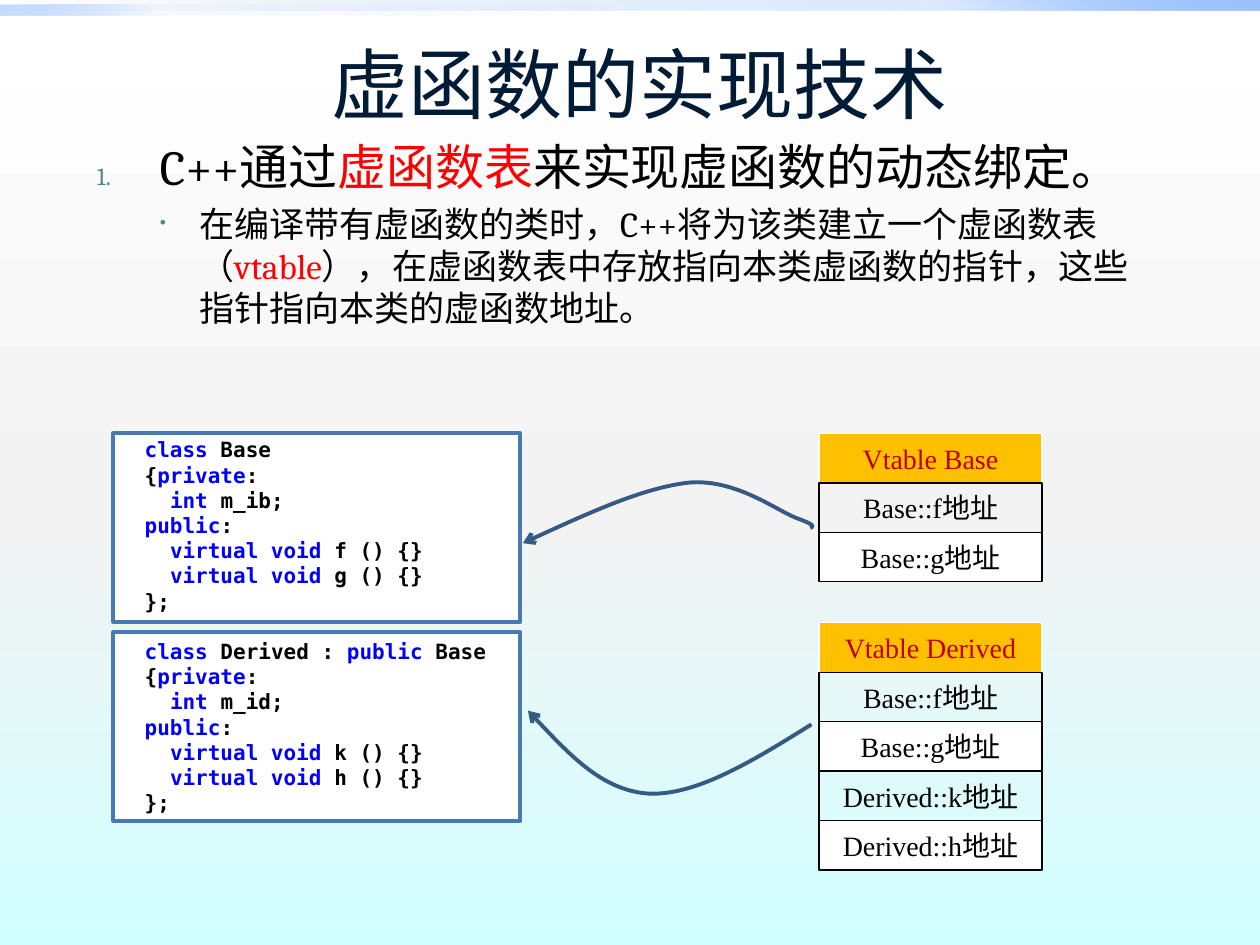
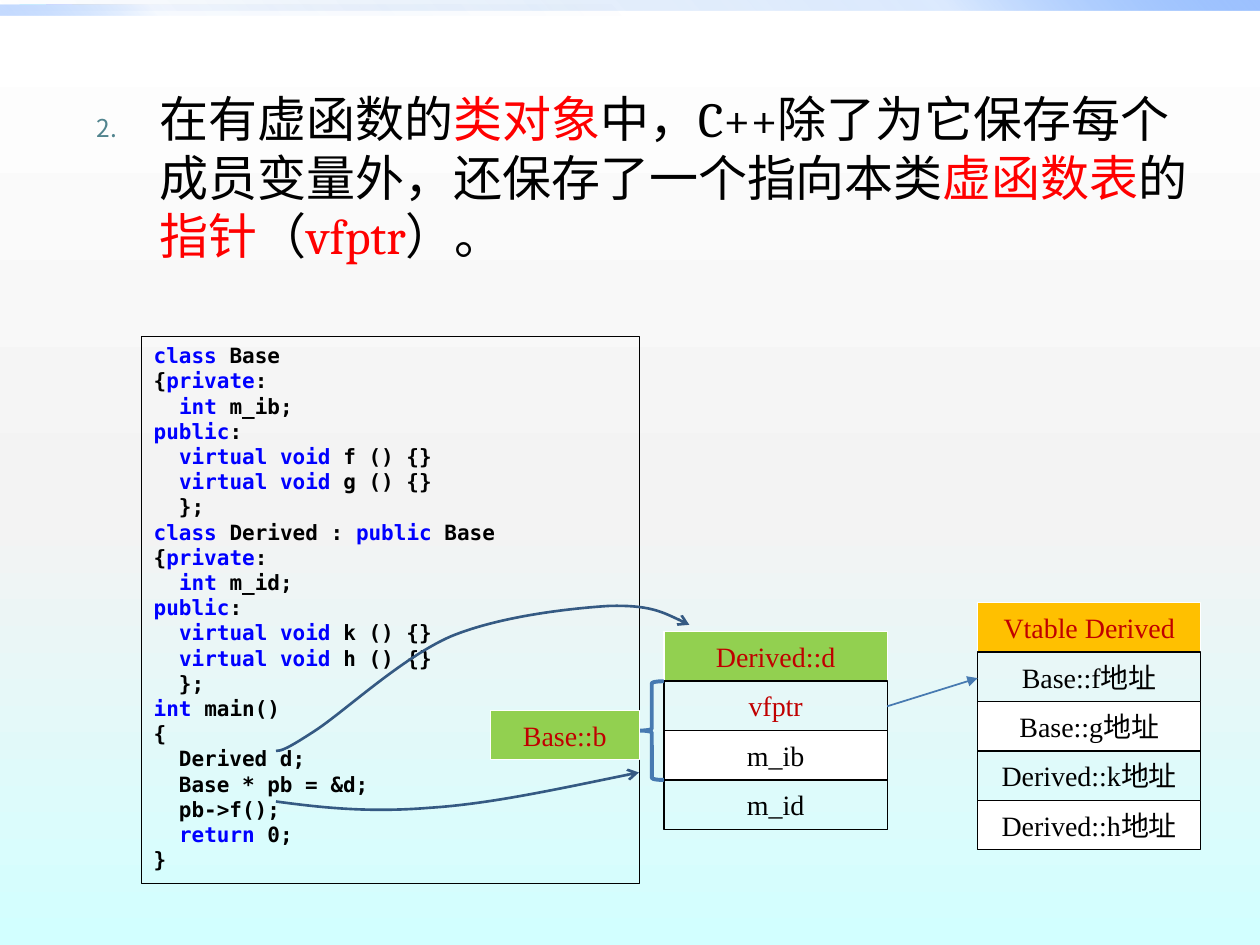
import lxml.etree
import pptx
import pptx.dml.color
import pptx.enum.shapes
import pptx.enum.text
import pptx.oxml.ns
import pptx.util

RGB = pptx.dml.color.RGBColor
Pt = pptx.util.Pt
SHAPE = pptx.enum.shapes.MSO_SHAPE
ALIGN = pptx.enum.text.PP_ALIGN
ANCHOR = pptx.enum.text.MSO_ANCHOR

BLACK = RGB(0x00, 0x00, 0x00)
WHITE = RGB(0xFF, 0xFF, 0xFF)
RED = RGB(0xFF, 0x00, 0x00)
DARK_RED = RGB(0xC0, 0x00, 0x00)
KEYWORD_BLUE = RGB(0x00, 0x00, 0xFF)
NAVY = RGB(0x00, 0x1B, 0x36)
TEAL = RGB(0x51, 0x84, 0x8E)
STEEL = RGB(0x47, 0x7A, 0xB1)
CURVE_BLUE = RGB(0x35, 0x5A, 0x83)
AMBER = RGB(0xFF, 0xC0, 0x00)
GREEN = RGB(0x92, 0xD0, 0x50)
SKY = RGB(0xD2, 0xFF, 0xFF)
PALE_GREY = RGB(0xF3, 0xF3, 0xF3)
BAND_DEEP = RGB(0x00, 0x58, 0xB7)
BAND_MID = RGB(0x4F, 0x95, 0xFF)
BAND_LIGHT = RGB(0x9E, 0xC2, 0xFF)

TITLE_FONT = {"name": "Arial", "size": Pt(44)}
POINT_FONT = {"name": "Cambria", "size": Pt(28)}
DETAIL_FONT = {"name": "Cambria", "size": Pt(20)}
CODE_FONT = {"name": "DejaVu Sans Mono", "size": Pt(12), "bold": True}
CELL_FONT = {"name": "Times New Roman", "size": Pt(16)}
CODE_PITCH = 14.4
CELL_WIDTH, CELL_HEIGHT = 127.5, 28.25

BASE_CLASS = [
    "|class| Base",
    "{|private|:",
    "  |int| m_ib;",
    "|public|:",
    "  |virtual void| f () {}",
    "  |virtual void| g () {}",
]
DERIVED_CLASS = [
    "|class| Derived : |public| Base",
    "{|private|:",
    "  |int| m_id;",
    "|public|:",
    "  |virtual void| k () {}",
    "  |virtual void| h () {}",
]
MAIN_FUNCTION = [
    "|int| main()",
    "{",
    "  Derived d;",
    "  Base * pb = &d;",
    "  pb->f();",
    "  |return| 0;",
    "}",
]
BASE_ROWS = ["Base::f地址", "Base::g地址"]
DERIVED_ROWS = BASE_ROWS + ["Derived::k地址", "Derived::h地址"]


def points(values):
    return [Pt(value) for value in values]


def apply(target, values):
    for name, value in values.items():
        setattr(target, name, value)


def add_xml(parent, tag, **attributes):
    child = lxml.etree.SubElement(parent, pptx.oxml.ns.qn(tag))
    for name, value in attributes.items():
        child.set(name, str(value))
    return child


def set_gradient(fill, stops, angle):
    """Fill with (position %, colour, opacity %) stops at a clockwise angle."""
    fill.gradient()
    fill.gradient_angle = (360 - angle) % 360
    stop_list = fill.gradient_stops[0]._gs.getparent()
    for old_stop in list(stop_list):
        stop_list.remove(old_stop)
    for position, color, opacity in stops:
        stop = add_xml(stop_list, "a:gs", pos=position * 1000)
        tint = add_xml(stop, "a:srgbClr", val=color)
        if opacity < 100:
            add_xml(tint, "a:alpha", val=opacity * 1000)


def paint(shape, fill=None, line=None, width=0.75):
    shape.shadow.inherit = False
    if fill is None:
        shape.fill.background()
    else:
        shape.fill.solid()
        shape.fill.fore_color.rgb = fill
    if line is None:
        shape.line.fill.background()
    else:
        shape.line.color.rgb = line
        shape.line.width = Pt(width)


def write_spans(para, marked, font, color, accent):
    """Write text whose parts between | signs take the accent colour."""
    for index, text in enumerate(marked.split("|")):
        if text:
            span = para.add_run()
            span.text = text
            apply(span.font, font)
            span.font.color.rgb = accent if index % 2 else color


def paragraphs(frame, lines):
    """Yield a paragraph of the frame for each line."""
    for index, line in enumerate(lines):
        yield (frame.add_paragraph() if index else frame.paragraphs[0]), line


def add_bullet(para, indent, hanging, number=None):
    properties = para._p.get_or_add_pPr()
    properties.set("marL", str(Pt(indent)))
    properties.set("indent", str(-Pt(hanging)))
    add_xml(add_xml(properties, "a:buClr"), "a:srgbClr", val=TEAL)
    add_xml(properties, "a:buSzPct", val=50000)
    if number:
        add_xml(properties, "a:buFont", typeface="+mj-lt")
        add_xml(properties, "a:buAutoNum", type="arabicPeriod", startAt=number)
    else:
        add_xml(properties, "a:buFont", typeface="Arial")
        add_xml(properties, "a:buChar", char="•")


def add_page(deck):
    page = deck.slides.add_slide(deck.slide_layouts[1])
    bands = [
        ((0, 0, 720, 5.76), 315, (0, 20, 100)),
        ((0, 2.88, 360, 5.76), 135, (0, 5, 60)),
    ]
    for box, angle, opacities in bands:
        band = page.shapes.add_shape(SHAPE.RECTANGLE, *points(box))
        paint(band)
        stops = zip((0, 75, 100), (BAND_DEEP, BAND_MID, BAND_LIGHT), opacities)
        set_gradient(band.fill, stops, angle)
    return page


def place(shape, box):
    apply(shape, dict(zip(("left", "top", "width", "height"), points(box))))


def write_title(page, box, text):
    title = page.shapes.title
    place(title, box)
    title.text_frame.vertical_anchor = ANCHOR.MIDDLE
    para = title.text_frame.paragraphs[0]
    para.alignment = ALIGN.CENTER
    write_spans(para, text, TITLE_FONT, NAVY, RED)


def write_body(page, box, number, lines):
    """Write a numbered point followed by its bulleted details."""
    body = page.placeholders[1]
    place(body, box)
    frame = body.text_frame
    frame.auto_size = pptx.enum.text.MSO_AUTO_SIZE.NONE
    for para, line in paragraphs(frame, lines):
        is_point = line is lines[0]
        if is_point:
            add_bullet(para, 36, 36, number)
        else:
            add_bullet(para, 58.5, 22.5)
        para.space_before = Pt(0 if is_point else 4)
        write_spans(para, line, POINT_FONT if is_point else DETAIL_FONT, BLACK, RED)


def write_code(shape, blocks):
    """Write code blocks, leaving one line of space between them."""
    frame = shape.text_frame
    apply(frame, {"word_wrap": True, "vertical_anchor": ANCHOR.TOP})
    lines = [(line, index > 0 and line is block[0])
             for index, block in enumerate(blocks) for line in block]
    for para, (line, starts_block) in paragraphs(frame, lines):
        apply(para, {
            "alignment": ALIGN.LEFT,
            "line_spacing": Pt(CODE_PITCH),
            "space_before": Pt(CODE_PITCH if starts_block else 0),
        })
        write_spans(para, line, CODE_FONT, BLACK, KEYWORD_BLUE)


def add_cell(shapes, box, text, color, fill, line):
    cell = shapes.add_shape(SHAPE.RECTANGLE, *points(box))
    paint(cell, fill, line)
    cell.text_frame.vertical_anchor = ANCHOR.MIDDLE
    para = cell.text_frame.paragraphs[0]
    para.alignment = ALIGN.CENTER
    write_spans(para, text, CELL_FONT, color, DARK_RED)


def add_memory_layout(page, left, top, header, rows, header_fill):
    """Stack a coloured header over rows that alternate clear and white."""
    shapes = page.shapes.add_group_shape().shapes
    add_cell(shapes, (left, top, CELL_WIDTH, CELL_HEIGHT),
             header, DARK_RED, header_fill, WHITE)
    for index, row in enumerate(rows):
        box = (left, top + (index + 1) * CELL_HEIGHT, CELL_WIDTH, CELL_HEIGHT)
        add_cell(shapes, box, row, BLACK, WHITE if index % 2 else None, BLACK)


def add_arrowhead(shape, kind):
    add_xml(shape.line._get_or_add_ln(), "a:tailEnd", type=kind)


def add_curved_arrow(page, left, top, knots, width):
    """Draw a Bézier arrow: a start, then two controls and an end per piece."""
    places = [points((left + x, top + y)) for x, y in knots]
    builder = page.shapes.build_freeform(*places[0])
    builder.add_line_segments(places[1:], close=False)
    curve = builder.convert_to_shape()
    segments = list(curve._element.iter(pptx.oxml.ns.qn("a:lnTo")))
    outline = segments[0].getparent()
    for start in range(0, len(segments), 3):
        piece = add_xml(outline, "a:cubicBezTo")
        for segment in segments[start:start + 3]:
            piece.append(segment[0])
            outline.remove(segment)
    paint(curve, line=CURVE_BLUE, width=width)
    add_arrowhead(curve, "arrow")


def add_straight_arrow(page, start, end):
    arrow = page.shapes.add_connector(
        pptx.enum.shapes.MSO_CONNECTOR.STRAIGHT, *points(start + end))
    arrow.line.color.rgb = STEEL
    arrow.line.width = Pt(1)
    add_xml(arrow._element.spPr, "a:effectLst")
    add_arrowhead(arrow, "triangle")


def build_vtable_page(deck):
    page = add_page(deck)
    write_title(page, (59.8, 2.2, 612, 90), "虚函数的实现技术")
    write_body(page, (48.2, 74.2, 612, 130.3), 1, [
        "C++通过|虚函数表|来实现虚函数的动态绑定。",
        "在编译带有虚函数的类时，C++将为该类建立一个虚函数表（|vtable|），"
        "在虚函数表中存放指向本类虚函数的指针，这些指针指向本类的虚函数地址。",
    ])
    for top in (247.7, 361.4):
        panel = page.shapes.add_shape(SHAPE.RECTANGLE, *points((64.8, top, 232.6, 107.6)))
        paint(panel, WHITE, STEEL, 2.25)
    code = page.shapes.add_textbox(*points((75.6, 246.2, 284.4, 239.8)))
    write_code(code, [BASE_CLASS + ["};"], DERIVED_CLASS + ["};"]])
    add_memory_layout(page, 468, 247.7, "Vtable Base", BASE_ROWS, AMBER)
    add_memory_layout(page, 468, 355.9, "Vtable Derived", DERIVED_ROWS, AMBER)
    add_curved_arrow(page, 298.8, 275.8, [
        (164.2, 25.9), (166.3, 25.2), (167.8, 24.5), (156.2, 20.2),
        (144.7, 15.8), (121.7, -2.2), (95, 0),
        (69.1, 2.9), (34.6, 18.7), (0, 34.6)], 2.25)
    add_curved_arrow(page, 301.7, 406.1, [
        (162, 7.9), (129.6, 28.1), (97.2, 48.2), (69.8, 47.5),
        (43.2, 46.1), (21.6, 23), (0, 0)], 2.25)


def build_vfptr_page(deck):
    page = add_page(deck)
    title = page.shapes.title._element
    title.getparent().remove(title)
    write_body(page, (48.2, 46.8, 648, 90.7), 2, [
        "在有虚函数的|类对象|中，C++除了为它保存每个成员变量外，"
        "还保存了一个指向本类|虚函数表|的|指针|（|vfptr|）。",
    ])
    code = page.shapes.add_shape(SHAPE.RECTANGLE, *points((80.8, 192.3, 284.6, 312.5)))
    paint(code, line=BLACK)
    write_code(code, [BASE_CLASS + ["  };"] + DERIVED_CLASS + ["  };"] + MAIN_FUNCTION])
    add_memory_layout(page, 379.5, 360.9, "Derived::d", ["|vfptr|", "m_ib", "m_id"], GREEN)
    add_memory_layout(page, 558.7, 344.4, "Vtable Derived", DERIVED_ROWS, AMBER)
    add_straight_arrow(page, (507, 403.6), (558.7, 387.5))
    brace = page.shapes.add_shape(SHAPE.LEFT_BRACE, *points((365.6, 389.3, 13.7, 56.4)))
    paint(brace, line=STEEL, width=2.25)
    add_curved_arrow(page, 157.7, 441.4, [
        (0, 16.6), (26.6, 20.2), (53.3, 23), (87.8, 20.2),
        (122.4, 18), (164.9, 8.6), (207.4, 0)], 1.5)
    add_cell(page.shapes, (280.3, 405.9, 85, CELL_HEIGHT),
             "Base::b", DARK_RED, GREEN, WHITE)
    add_curved_arrow(page, 157.7, 346.3, [
        (0, 82.8), (2.9, 82.8), (5.8, 82.1), (22.3, 71.3),
        (38.9, 60.5), (72, 29.5), (100.1, 17.3),
        (128.2, 5.8), (167.8, 1.4), (190.1, 0),
        (213.1, -0.7), (224.6, 5), (236.2, 10.8)], 1.5)


def main():
    deck = pptx.Presentation()
    apply(deck, {"slide_width": Pt(720), "slide_height": Pt(540)})
    set_gradient(deck.slide_master.background.fill,
                 [(0, WHITE, 100), (55, PALE_GREY, 100), (100, SKY, 100)], 90)
    build_vtable_page(deck)
    build_vfptr_page(deck)
    deck.save("out.pptx")


if __name__ == "__main__":
    main()
